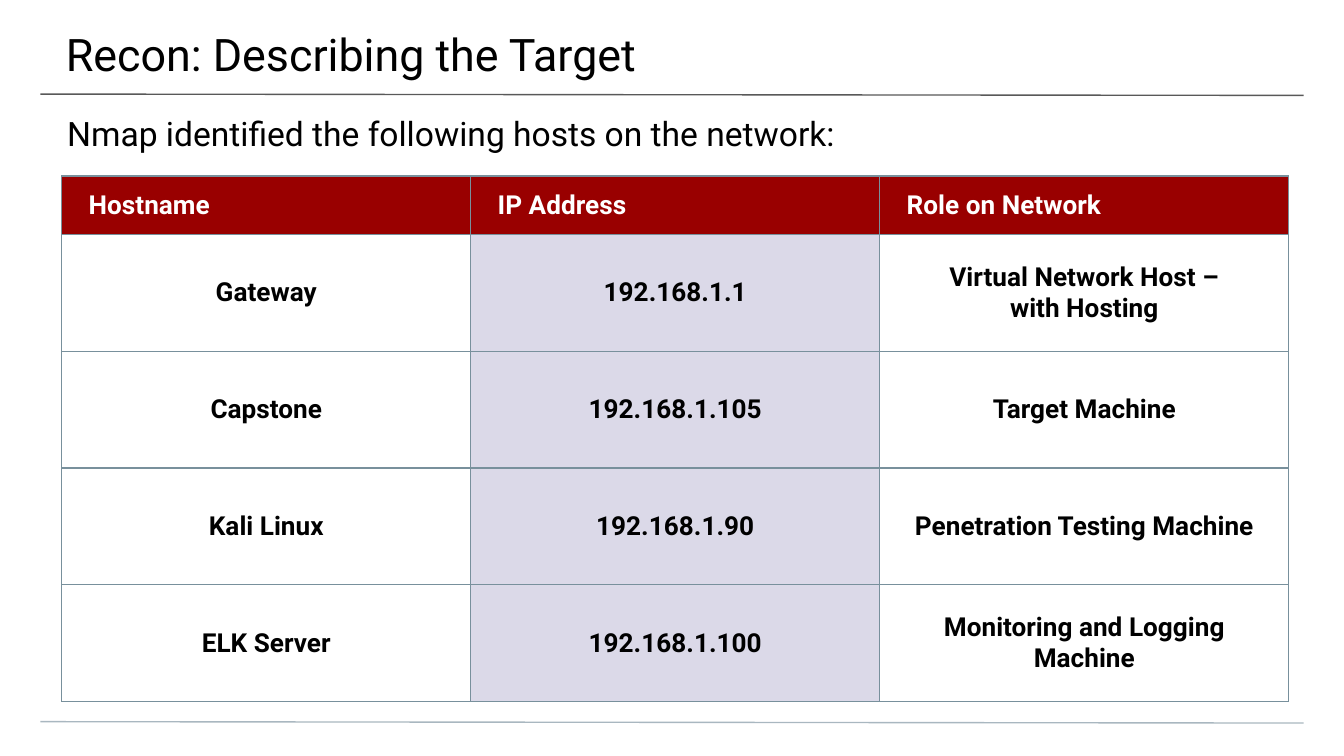
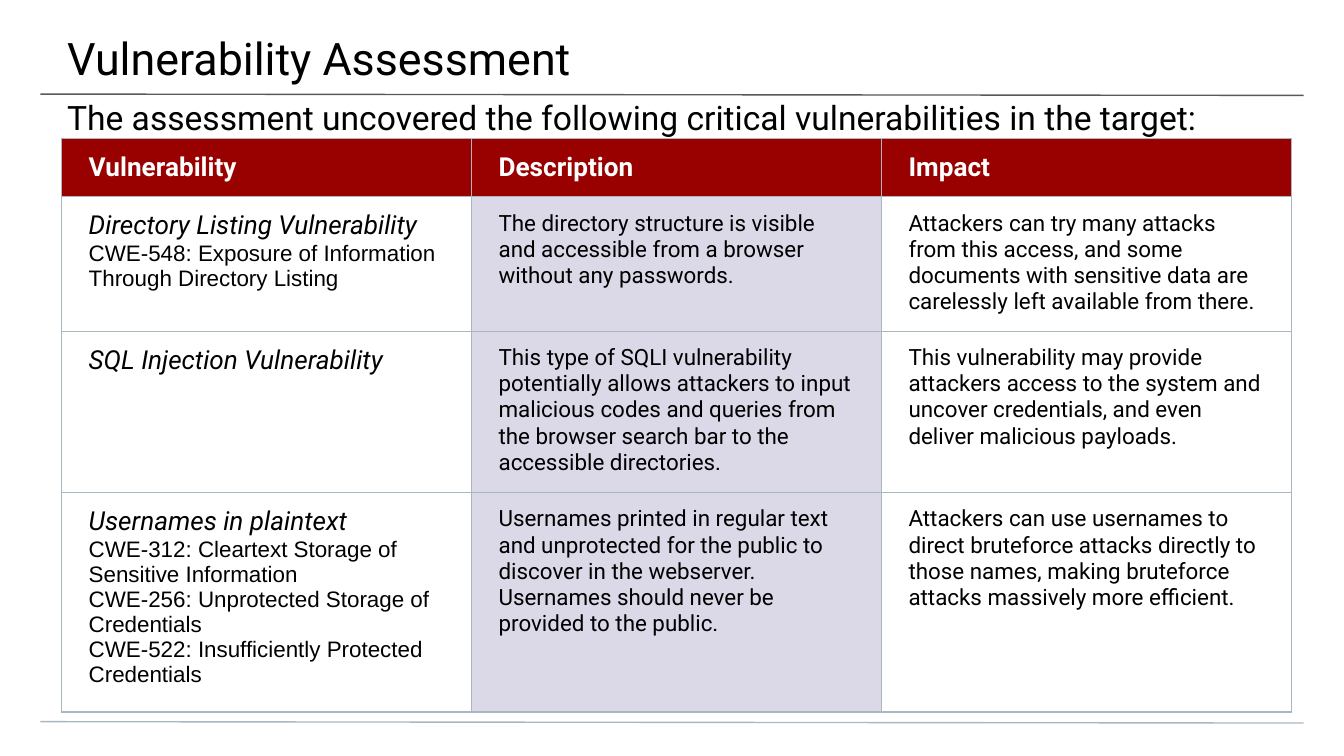
from lxml.etree import SubElement
from pptx import Presentation
from pptx.dml.color import RGBColor
from pptx.enum.shapes import MSO_CONNECTOR as Connector
from pptx.enum.text import MSO_ANCHOR as Anchor, PP_ALIGN as Align
from pptx.oxml.ns import qn
from pptx.util import Inches, Pt

COLUMNS, ROWS = 100, 56.25  # grid of square units on a 10 inch wide slide
UNIT = Inches(10) / COLUMNS

BLACK, WHITE = "000000", "FFFFFF"
RED, LILAC = "990000", "DBD9E8"
DARK_GREY, STEEL, PALE_STEEL = "595959", "78909C", "A9B7C0"

TITLE = {"name": "Roboto", "size": Pt(24), "color": BLACK}
SUBTITLE = {**TITLE, "size": Pt(18)}
HEADER = {"name": "Roboto", "size": Pt(14), "bold": True, "color": WHITE}
HOST = {**HEADER, "color": BLACK}
FINDING = {**HOST, "bold": False, "italic": True}
BODY = {"name": "Roboto", "size": Pt(12), "bold": False, "color": BLACK}
WEAKNESS = {**BODY, "name": "Arial"}

HOSTS = [
    ("Gateway", "192.168.1.1", "Virtual Network Host –\nwith Hosting"),
    ("Capstone", "192.168.1.105", "Target Machine"),
    ("Kali Linux", "192.168.1.90", "Penetration Testing Machine"),
    ("ELK Server", "192.168.1.100", "Monitoring and Logging Machine"),
]
VULNERABILITIES = [
    ("Directory Listing Vulnerability\n"
     "CWE-548: Exposure of Information Through Directory Listing",
     "The directory structure is visible and accessible from a browser "
     "without any passwords.",
     "Attackers can try many attacks from this access, and some documents "
     "with sensitive data are carelessly left available from there."),
    ("SQL Injection Vulnerability",
     "This type of SQLI vulnerability potentially allows attackers to input "
     "malicious codes and queries from the browser search bar to the "
     "accessible directories.",
     "This vulnerability may provide attackers access to the system and "
     "uncover credentials, and even deliver malicious payloads."),
    ("Usernames in plaintext\n"
     "CWE-312: Cleartext Storage of Sensitive Information\n"
     "CWE-256: Unprotected Storage of Credentials\n"
     "CWE-522: Insufficiently Protected Credentials",
     "Usernames printed in regular text and unprotected for the public to "
     "discover in the webserver. Usernames should never be provided to the "
     "public.",
     "Attackers can use usernames to direct bruteforce attacks directly to "
     "those names, making bruteforce attacks massively more efficient."),
]


def rgb(color):
    return RGBColor.from_string(color)


def grid(*units):
    """Turn grid units into slide lengths."""
    return [round(unit * UNIT) for unit in units]


def set_margins(target, margins):
    for side, margin in zip(("left", "top", "right", "bottom"), grid(*margins)):
        setattr(target, f"margin_{side}", margin)


def write(text_frame, text, styles, align=Align.LEFT):
    """Write one paragraph per line; the last style serves all further lines."""
    for index, line in enumerate(text.split("\n")):
        paragraph = text_frame.paragraphs[0] if index == 0 else text_frame.add_paragraph()
        paragraph.alignment = align
        run = paragraph.add_run()
        run.text = line
        for name, value in styles[min(index, len(styles) - 1)].items():
            if name == "color":
                run.font.color.rgb = rgb(value)
            else:
                setattr(run.font, name, value)


def add_heading(slide, box, text, style, margins):
    text_frame = slide.shapes.add_textbox(*grid(*box)).text_frame
    text_frame.word_wrap = True
    text_frame.vertical_anchor = Anchor.TOP
    set_margins(text_frame, margins)
    write(text_frame, text, [style])


def add_rule(slide, top, color):
    ends = grid(3, top, COLUMNS - 3, top + 0.1)
    rule = slide.shapes.add_connector(Connector.STRAIGHT, *ends)
    rule.line.color.rgb = rgb(color)
    rule.line.width = Pt(0.75)
    SubElement(rule._element.spPr, qn("a:effectLst"))


def add_borders(cell, color):
    properties = cell._tc.get_or_add_tcPr()
    for side in "LRTB":
        line = SubElement(properties, qn(f"a:ln{side}"), w=str(Pt(0.75)))
        fill = SubElement(line, qn("a:solidFill"))
        SubElement(fill, qn("a:srgbClr"), val=color)


def add_cell(cell, text, styles, border, fill, anchor, align):
    add_borders(cell, border)
    if fill:
        cell.fill.solid()
        cell.fill.fore_color.rgb = rgb(fill)
    else:
        cell.fill.background()
    set_margins(cell, (2, 1, 2, 1))
    cell.vertical_anchor = anchor
    write(cell.text_frame, text, styles, align)


def add_grid_table(slide, box, header, records, heights, column_styles, border,
                   anchor, align):
    """Table with a red header row and a lilac middle column."""
    shape = slide.shapes.add_table(len(records) + 1, len(header), *grid(*box, sum(heights)))
    table = shape.table
    table.first_row = table.horz_banding = False
    for row, height in zip(table.rows, grid(*heights)):
        row.height = height
    for column, title in enumerate(header):
        add_cell(table.cell(0, column), title, [HEADER], border, RED,
                 Anchor.MIDDLE, Align.LEFT)
        fill = LILAC if column == 1 else None
        for row, record in enumerate(records, start=1):
            add_cell(table.cell(row, column), record[column], column_styles[column],
                     border, fill, anchor, align)


def add_base_slide(presentation, title, title_box, subtitle, subtitle_top):
    slide = presentation.slides.add_slide(presentation.slide_layouts[6])
    add_rule(slide, 7, DARK_GREY)
    add_rule(slide, 53.7, PALE_STEEL)
    add_heading(slide, title_box, title, TITLE, (5, 2, 3, 1))
    add_heading(slide, (0, subtitle_top, COLUMNS, 4), subtitle, SUBTITLE, (5, 1, 5, 0))
    return slide


def add_recon_slide(presentation):
    slide = add_base_slide(
        presentation, "Recon: Describing the Target", (-0.1, 0, 100.3, 5.8),
        "Nmap identified the following hosts on the network:", 7.4)
    add_grid_table(
        slide, (4.6, 13.1, 91.3), ("Hostname", "IP Address", "Role on Network"),
        HOSTS, [4.35] + [8.69] * len(HOSTS), [[HOST]] * 3, STEEL,
        Anchor.MIDDLE, Align.CENTER)


def add_assessment_slide(presentation):
    slide = add_base_slide(
        presentation, "Vulnerability Assessment", (0, 0.3, 100.3, 5.8),
        "The assessment uncovered the following critical vulnerabilities in the target:", 6.2)
    add_grid_table(
        slide, (4.6, 10.3, 91.5), ("Vulnerability", "Description", "Impact"),
        VULNERABILITIES, [4.3, 9.8, 11.75, 15.5],
        [[FINDING, WEAKNESS], [BODY], [BODY]], PALE_STEEL, Anchor.TOP, Align.LEFT)


def main():
    presentation = Presentation()
    presentation.slide_width, presentation.slide_height = grid(COLUMNS, ROWS)
    add_recon_slide(presentation)
    add_assessment_slide(presentation)
    presentation.save("out.pptx")


if __name__ == "__main__":
    main()
